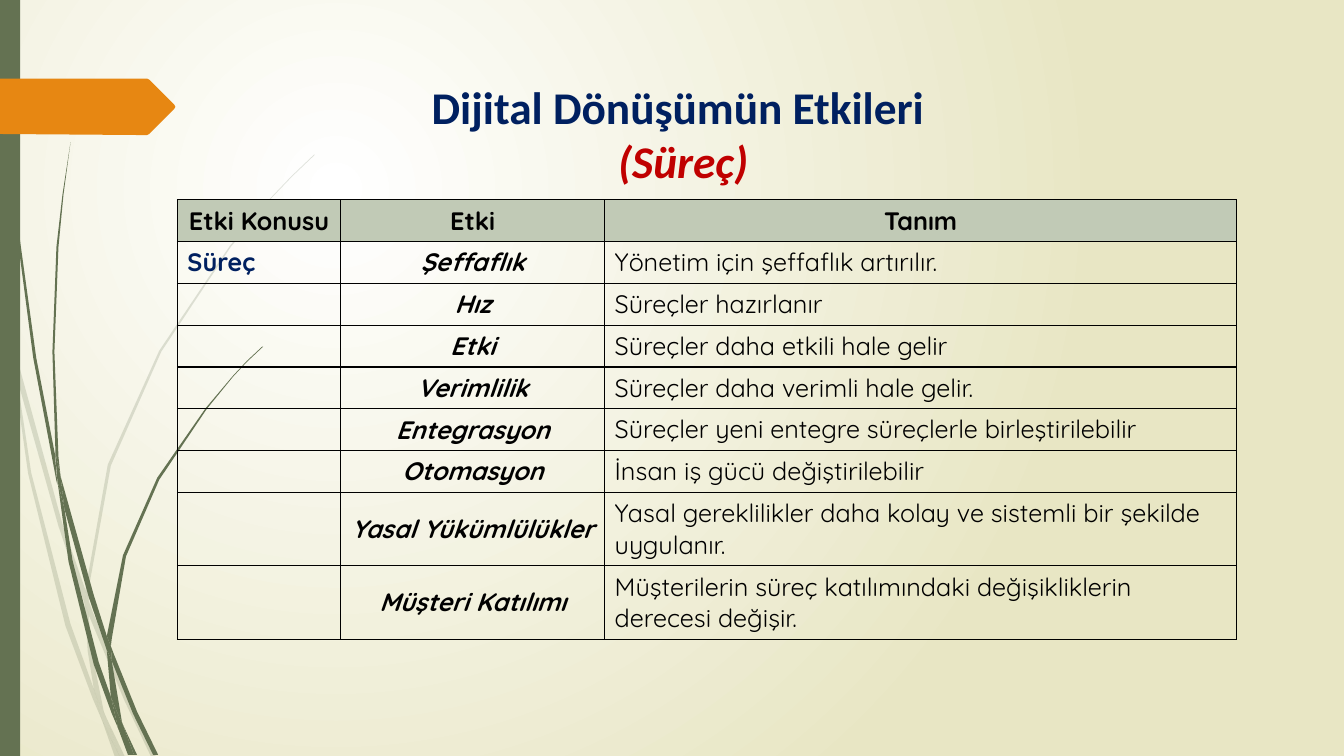
"""Build the slide on the process effects of digital transformation."""
from lxml.etree import SubElement
from pptx import Presentation
from pptx.dml.color import RGBColor
from pptx.enum.shapes import MSO_SHAPE as Shape
from pptx.enum.text import MSO_ANCHOR as Anchor, MSO_AUTO_SIZE as Fit, PP_ALIGN as Align
from pptx.oxml.ns import qn
from pptx.util import Pt

HUES = {"leaf": "647252", "tag": "E78712", "navy": "002060", "red": "C00000",
        "ink": "000000", "head": "C1CAB6", "white": "FFFFFF", "sand": "E8E6C4"}
TITLE = [("Dijital Dönüşümün Etkileri ", "navy", False), ("(Süreç)", "red", True)]
HEAD = ("Etki Konusu", "Etki", "Tanım")
TOPIC = "Süreç"
ROWS = [
    ("Şeffaflık", "Yönetim için şeffaflık artırılır."),
    ("Hız", "Süreçler hazırlanır"),
    ("Etki", "Süreçler daha etkili hale gelir"),
    ("Verimlilik", "Süreçler daha verimli hale gelir."),
    ("Entegrasyon", "Süreçler yeni entegre süreçlerle birleştirilebilir"),
    ("Otomasyon", "İnsan iş gücü değiştirilebilir"),
    ("Yasal Yükümlülükler", "Yasal gereklilikler daha kolay ve sistemli bir şekilde uygulanır."),
    ("Müşteri Katılımı", "Müşterilerin süreç katılımındaki değişikliklerin derecesi değişir."),
]
COLS = (116.6, 188.6, 451.5)
LOW, TALL = 29.85, 52.5
UNIT = Pt(0.72)
PALE = [
    [(11, 350), (9, 322), (0, 282), (0, 299), (10, 344)],
    [(58, 522), (84, 599), (85, 586), (62, 520), (14, 345), (17, 376)],
    [(92, 607), (88, 596), (88, 610), (123, 694), (150, 751), (155, 751), (127, 692)],
    [(119, 751), (124, 751), (105, 711)],
    [(93, 683), (70, 619), (31, 469), (17, 376), (11, 350), (28, 470), (65, 621),
     (92, 693), (101, 714), (99, 707)],
    [(84, 599), (87, 646), (93, 683), (96, 692), (105, 711), (103, 706), (91, 646),
     (88, 610), (88, 608)],
    [(88, 584), (110, 462), (160, 349), (229, 245), (268, 198), (290, 175), (312, 154),
     (312, 153), (289, 175), (268, 197), (228, 244), (158, 348), (107, 461), (85, 584),
     (85, 586), (88, 596)],
    [(101, 714), (114, 751), (119, 751)],
    [(88, 608), (88, 610), (88, 596), (85, 586), (84, 599)],
    [(96, 692), (93, 683), (99, 707), (101, 714), (119, 751), (105, 711)],
]
DARK = [
    [(7, 110), (17, 233), (33, 355), (56, 477), (57, 481), (55, 457), (55, 453), (36, 355),
     (19, 232), (8, 109), (5, 48), (4, 0), (3, 0), (4, 48)],
    [(88, 592), (106, 645), (106, 633), (106, 631), (93, 590), (60, 472), (64, 505)],
    [(113, 649), (110, 641), (111, 656), (132, 708), (152, 749), (157, 749), (136, 706)],
    [(110, 691), (98, 657), (72, 556), (64, 505), (57, 477), (68, 557), (93, 659),
     (111, 708), (117, 722), (116, 717)],
    [(60, 472), (58, 453), (54, 349), (58, 245), (63, 193), (70, 141), (62, 193),
     (56, 245), (52, 349), (55, 449)],
    [(133, 749), (136, 749), (122, 719)],
    [(57, 477), (64, 505), (60, 472), (55, 449), (55, 453)],
    [(111, 633), (125, 552), (158, 476), (205, 406), (231, 374), (245, 359), (261, 344),
     (260, 344), (245, 358), (231, 373), (204, 405), (156, 474), (122, 551), (106, 631),
     (110, 641)],
    [(117, 722), (127, 749), (131, 749)],
    [(106, 645), (110, 691), (116, 706), (122, 719), (121, 716), (111, 656), (109, 651)],
    [(106, 645), (109, 651), (111, 656), (110, 641), (106, 631), (106, 633)],
    [(116, 706), (110, 691), (116, 717), (117, 722), (130, 749), (133, 749), (122, 719)],
]
TAG = [(173, 108), (148, 133), (146, 134), (136, 134), (0, 133), (0, 78), (136, 78),
       (146, 78), (148, 79), (173, 104), (174, 106)]


def hue(name):
    return RGBColor.from_string(HUES[name])


def paint(shape, name, alpha=None):
    shape.shadow.inherit = False
    shape.fill.solid()
    shape.fill.fore_color.rgb = hue(name)
    shape.line.fill.background()
    if alpha:
        tone = shape.fill._xPr.find(".//" + qn("a:srgbClr"))
        SubElement(tone, qn("a:alpha"), val=str(alpha * 1000))


def draw(pts, name, alpha=None):
    form = shapes.build_freeform(*pts[0], scale=UNIT)
    form.add_line_segments(pts[1:], close=True)
    paint(form.convert_to_shape(), name, alpha)


def write(para, text, name, font, size, bold=False, slant=False):
    run = para.add_run()
    run.text = text
    face = run.font
    face.name, face.size, face.bold, face.italic = font, Pt(size), bold, slant
    face.color.rgb = hue(name)


def frame(cell):
    props = cell._tc.get_or_add_tcPr()
    for i, side in enumerate(("a:lnL", "a:lnR", "a:lnT", "a:lnB")):
        line = props.makeelement(qn(side), {"w": str(Pt(1))})
        tone = SubElement(line, qn("a:solidFill"))
        SubElement(tone, qn("a:srgbClr"), val=HUES["ink"])
        props.insert(i, line)


deck = Presentation()
deck.slide_width, deck.slide_height = Pt(960), Pt(540)
slide = deck.slides.add_slide(deck.slide_layouts[5])
shapes = slide.shapes

back = slide.background.fill
back.gradient()
for stop, name in zip(back.gradient_stops, ("white", "sand")):
    stop.color.rgb = hue(name)
lin = slide._element.find(".//" + qn("a:lin"))
glow = lin.makeelement(qn("a:path"), {"path": "circle"})
SubElement(glow, qn("a:fillToRect"), l="50000", t="50000", r="100000", b="100000")
lin.getparent().replace(lin, glow)

for pts in PALE:
    draw(pts, "leaf", 20)
for pts in DARK:
    draw(pts, "leaf")
paint(shapes.add_shape(Shape.RECTANGLE, 0, 0, Pt(14.4), Pt(540)), "leaf")
draw(TAG, "tag")

title = shapes.title
title.left, title.top, title.width, title.height = Pt(128.7), Pt(52.9), Pt(718.6), Pt(81.4)
box = title.text_frame
box.auto_size, box.word_wrap, box.vertical_anchor = Fit.NONE, True, Anchor.TOP
para = box.paragraphs[0]
para.alignment = Align.CENTER
for i, (text, name, slant) in enumerate(TITLE):
    if i:
        para.add_line_break()
    write(para, text, name, "Calibri", 32.4, True, slant)
shapes._spTree.append(title._element)

highs = [LOW] * 7 + [TALL] * 2
grid = shapes.add_table(len(highs), len(COLS), Pt(126.7), Pt(142.7),
                        Pt(sum(COLS)), Pt(sum(highs))).table
grid.first_row = grid.horz_banding = False
for col, wide in zip(grid.columns, COLS):
    col.width = Pt(wide)
for row, high in zip(grid.rows, highs):
    row.height = Pt(high)
body = [(TOPIC if i == 0 else "", *row) for i, row in enumerate(ROWS)]
for r, row in enumerate([HEAD, *body]):
    for c, text in enumerate(row):
        cell = grid.cell(r, c)
        if r == 0:
            cell.fill.solid()
            cell.fill.fore_color.rgb = hue("head")
        else:
            cell.fill.background()
        frame(cell)
        para = cell.text_frame.paragraphs[0]
        para.alignment = Align.CENTER if r == 0 or c == 1 else Align.LEFT
        if r and c == 1:
            cell.vertical_anchor = Anchor.MIDDLE
        if text:
            write(para, text, "navy" if r and c == 0 else "ink", "Quicksand", 18,
                  r == 0 or c < 2, r > 0 and c == 1)

deck.save("out.pptx")
